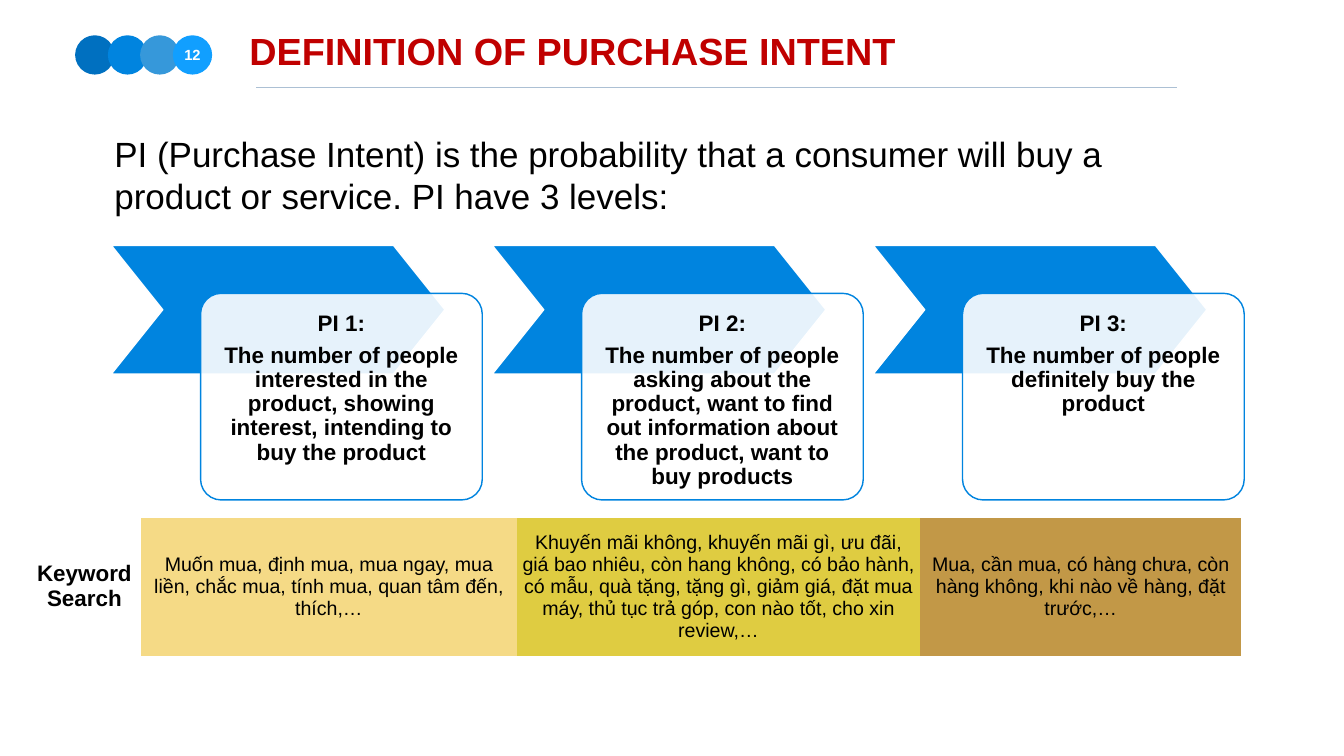
from dataclasses import dataclass

from lxml import etree
from pptx import Presentation
from pptx.dml.color import RGBColor
from pptx.enum.shapes import MSO_CONNECTOR, MSO_SHAPE
from pptx.enum.text import MSO_ANCHOR, PP_ALIGN
from pptx.oxml.ns import qn
from pptx.util import Pt

EMU_PER_PX = 9144
PLAIN_TABLE = "{2D5ABB26-0587-4C30-8999-92F81FD0307C}"
ELLIPSE = MSO_SHAPE.OVAL
CHEVRON = MSO_SHAPE.CHEVRON
ROUNDED = MSO_SHAPE.ROUNDED_RECTANGLE
STRAIGHT = MSO_CONNECTOR.STRAIGHT
LEFT, CENTER = PP_ALIGN.LEFT, PP_ALIGN.CENTER
TOP, MIDDLE = MSO_ANCHOR.TOP, MSO_ANCHOR.MIDDLE


@dataclass(frozen=True)
class Theme:
    font: str = "Arial"
    ink: str = "000000"
    white: str = "FFFFFF"
    title: str = "C00000"
    rule: str = "ACC0D4"
    blue: str = "0084DF"
    dots: tuple = ("0070C0", "0084DF", "3698DA", "119FFF")
    keywords: tuple = (None, "F5DA86", "DFCC41", "C29847")
    title_size: int = 54
    intro_size: int = 50
    card_size: int = 32
    cell_size: int = 28
    number_size: int = 21
    line_width: int = 2


def px(*lengths):
    return [length * EMU_PER_PX for length in lengths]


def apply(target, values):
    for name, value in values.items():
        setattr(target, name, value)


class SlideBuilder:
    def __init__(self, page, theme):
        self.page = page
        self.theme = theme

    def fill_text(self, frame, lines, size, color=None, bold=False, align=LEFT, **spacing):
        for index, line in enumerate(lines):
            para = frame.paragraphs[0] if index == 0 else frame.add_paragraph()
            apply(para, {"alignment": align, **spacing})
            span = para.add_run()
            span.text = line
            apply(span.font, {"name": self.theme.font, "size": Pt(size), "bold": bold})
            span.font.color.rgb = RGBColor.from_string(color or self.theme.ink)

    def frame(self, shape, margin, anchor=TOP, wrap=True):
        (inset,) = px(margin)
        sides = ("margin_left", "margin_top", "margin_right", "margin_bottom")
        values = dict.fromkeys(sides, inset)
        apply(shape.text_frame, {**values, "vertical_anchor": anchor, "word_wrap": wrap})
        return shape.text_frame

    def text(self, bounds, line, size, anchor=TOP, **style):
        box = self.page.shapes.add_textbox(*px(*bounds))
        self.fill_text(self.frame(box, 6, anchor), [line], size, **style)

    def shape(self, kind, bounds, fill, line=None, adjust=None, opacity=None):
        shape = self.page.shapes.add_shape(kind, *px(*bounds))
        shape.shadow.inherit = False
        shape.fill.solid()
        shape.fill.fore_color.rgb = RGBColor.from_string(fill)
        if line:
            shape.line.color.rgb = RGBColor.from_string(line)
            shape.line.width = Pt(self.theme.line_width)
        else:
            shape.line.fill.background()
        if adjust is not None:
            shape.adjustments[0] = adjust
        if opacity is not None:
            color = shape._element.spPr.find(qn("a:solidFill")).find(qn("a:srgbClr"))
            etree.SubElement(color, qn("a:alpha"), val=str(opacity * 1000))
        return shape

    def rule(self, left, right, top):
        line = self.page.shapes.add_connector(STRAIGHT, *px(left, top, right, top))
        line.line.color.rgb = RGBColor.from_string(self.theme.rule)
        line.line.width = Pt(self.theme.line_width)
        etree.SubElement(line._element.spPr, qn("a:effectLst"))

    def page_number(self, number):
        for index, color in enumerate(self.theme.dots):
            dot = self.shape(ELLIPSE, (149 + round(index * 64.67), 70, 78, 78), color)
        self.fill_text(self.frame(dot, 0, MIDDLE, False), [number], self.theme.number_size,
                       color=self.theme.white, bold=True, align=CENTER)

    def level(self, left, top, heading, detail):
        theme = self.theme
        self.shape(CHEVRON, (left, top, 662, 255), theme.blue, theme.white, 0.4)
        card = self.shape(ROUNDED, (left + 177, top + 95, 559, 410),
                          theme.white, theme.blue, 0.1, 90)
        self.fill_text(self.frame(card, 25), [heading, detail], theme.card_size, bold=True,
                       align=CENTER, line_spacing=0.9, space_after=Pt(11))

    def keyword_table(self, left, top, widths, height, texts):
        holder = self.page.shapes.add_table(
            1, len(widths), *px(left, top, sum(widths), height))
        table = holder.table
        apply(table, {"first_row": False, "horz_banding": False})
        table._tbl.tblPr.find(qn("a:tableStyleId")).text = PLAIN_TABLE
        for index, (width, text, fill) in enumerate(zip(widths, texts, self.theme.keywords)):
            (table.columns[index].width,) = px(width)
            cell = table.cell(0, index)
            cell.vertical_anchor = MIDDLE
            if fill:
                cell.fill.solid()
                cell.fill.fore_color.rgb = RGBColor.from_string(fill)
            else:
                cell.fill.background()
            label = index == 0
            size = self.theme.card_size if label else self.theme.cell_size
            self.fill_text(cell.text_frame, [text], size, bold=label, align=CENTER)


LEVELS = (
    ("PI 1:", "The number of people interested in the product, showing interest, "
              "intending to buy the product"),
    ("PI 2:", "The number of people asking about the product, want to find out "
              "information about the product, want to buy products"),
    ("PI 3:", "The number of people definitely buy the product"),
)
KEYWORDS = (
    "Keyword Search",
    "Muốn mua, định mua, mua ngay, mua liền, chắc mua, tính mua, quan tâm đến, thích,…",
    "Khuyến mãi không, khuyến mãi gì, ưu đãi, giá bao nhiêu, còn hang không, "
    "có bảo hành, có mẫu, quà tặng, tặng gì, giảm giá, đặt mua máy, thủ tục trả góp, "
    "con nào tốt, cho xin review,…",
    "Mua, cần mua, có hàng chưa, còn hàng không, khi nào về hàng, đặt trước,…",
)


def main():
    theme = Theme()
    deck = Presentation()
    deck.slide_width, deck.slide_height = px(2667, 1500)
    builder = SlideBuilder(deck.slides.add_slide(deck.slide_layouts[6]), theme)
    builder.page_number("12")
    builder.rule(509, 2336, 174)
    builder.text((489, 50, 2013, 124), "DEFINITION OF PURCHASE INTENT",
                 theme.title_size, color=theme.title, bold=True)
    builder.text((221, 256, 1994, 180),
                 "PI (Purchase Intent) is the probability that a consumer will buy "
                 "a product or service. PI have 3 levels:", theme.intro_size, MIDDLE)
    for index, (heading, detail) in enumerate(LEVELS):
        builder.level(221 + index * 756, 487, heading, detail)
    builder.keyword_table(55, 1027, (225, 745, 801, 637), 274, KEYWORDS)
    deck.save("out.pptx")


if __name__ == "__main__":
    main()
